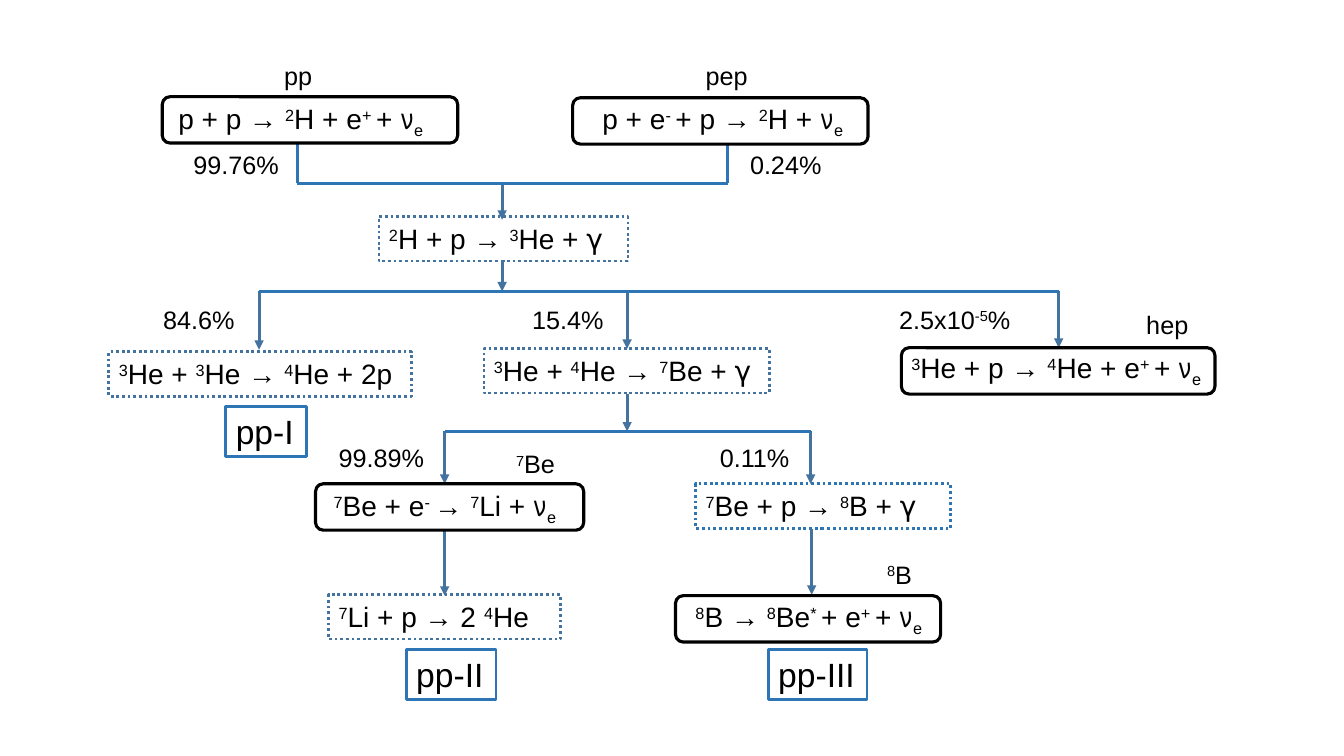
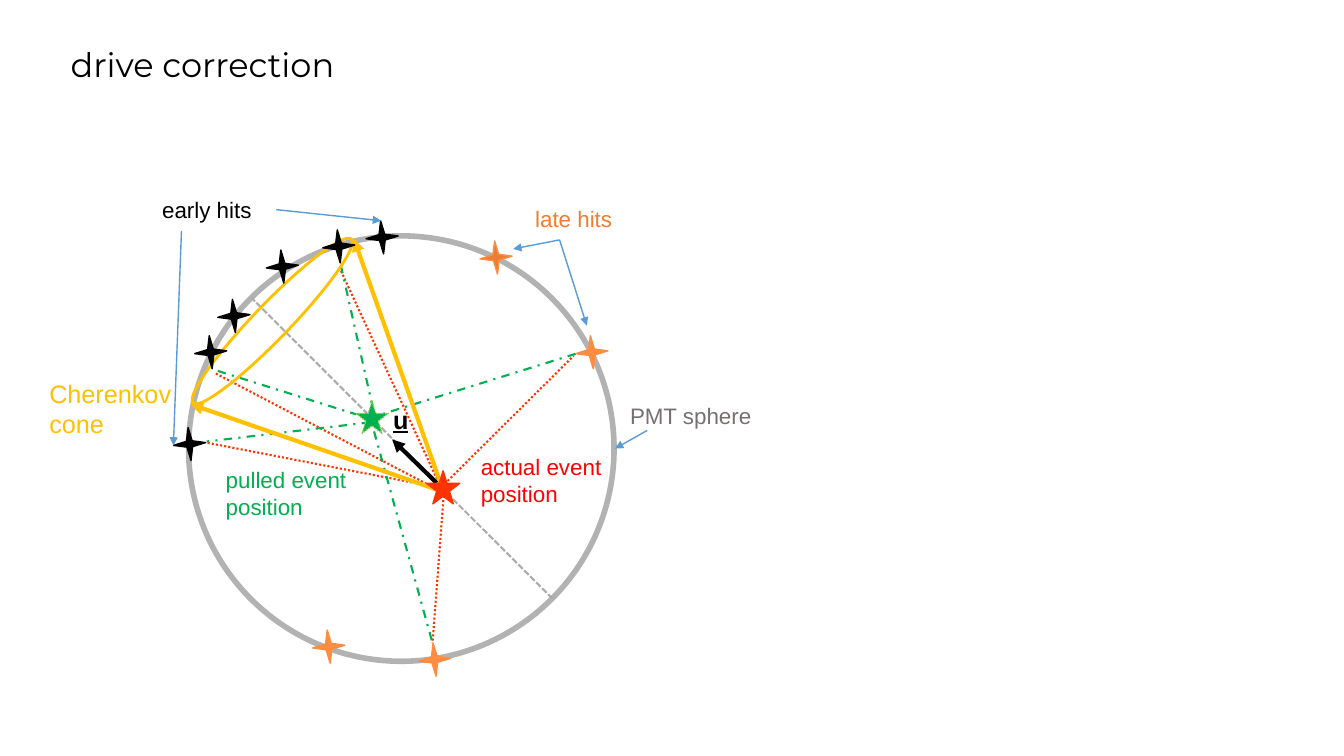
from lxml import etree
from pptx import Presentation
from pptx import util as u
from pptx.dml.color import RGBColor
from pptx.enum import dml, shapes, text
from pptx.oxml.ns import qn

PX = 9144  # 100 px to the inch
COLORS = {
    "black": "000000", "steel": "43739E", "blue": "2E75B6", "sky": "5B9BD5",
    "red": "FF3300", "pure red": "FF0000", "green": "00B050", "lime": "92D050",
    "gold": "FFC000", "orange": "ED7D31", "light orange": "FF8D41",
    "ring": "B2B2B2", "axis": "AFABAB", "gray": "767171",
}
RGB = {name: RGBColor.from_string(value) for name, value in COLORS.items()}
FONT = "Arial"
GREEK_FONTS = {"ν": "TeX Gyre Adventor", "γ": "DejaVu Sans"}
BASELINES = {"^": "30000", "_": "-25000"}
KIND = shapes.MSO_SHAPE
DASH = dml.MSO_LINE


def place(slide, box, words="", size=18, color="black", kind=None, line=None,
          width=2, dash=None, fill=None, wrap=False, align=text.PP_ALIGN.LEFT):
    """Add a shape, or a text box if kind is None.

    In words, "|" parts the runs; a run led by ^ or _ is raised or lowered.
    """
    area = [n * PX for n in box]
    if kind is None:
        item = slide.shapes.add_textbox(*area)
    else:
        item = slide.shapes.add_shape(kind, *area)
        item.shadow.inherit = False
        item.line.color.rgb = RGB[line]
        item.line.width = u.Pt(width)
        if dash:
            item.line.dash_style = dash
        if fill:
            item.fill.solid()
            item.fill.fore_color.rgb = RGB[fill]
        else:
            item.fill.background()
    if words:
        frame = item.text_frame
        frame.word_wrap = wrap
        frame.auto_size = text.MSO_AUTO_SIZE.SHAPE_TO_FIT_TEXT
        frame.vertical_anchor = text.MSO_ANCHOR.TOP
        for i, row in enumerate(words.split("\n")):
            paragraph = frame.add_paragraph() if i else frame.paragraphs[0]
            paragraph.alignment = align
            for part in row.split("|"):
                run = paragraph.add_run()
                run.text = part.lstrip("^_")
                run.font.size = u.Pt(size)
                run.font.name = GREEK_FONTS.get(part, FONT)
                run.font.color.rgb = RGB[color]
                if part[0] in BASELINES:
                    run.font._element.set("baseline", BASELINES[part[0]])
    return item


def connect(slide, ends, color, width, arrow=False, dash=None):
    link = slide.shapes.add_connector(
        shapes.MSO_CONNECTOR.STRAIGHT, *[n * PX for n in ends])
    link.line.color.rgb = RGB[color]
    link.line.width = u.Pt(width)
    if dash:
        link.line.dash_style = dash
    properties = link._element.spPr
    if arrow:
        etree.SubElement(properties.find(qn("a:ln")), qn("a:tailEnd"), type="triangle")
    etree.SubElement(properties, qn("a:effectLst"))


deck = Presentation()
deck.slide_width, deck.slide_height = 1333 * PX, 750 * PX

# Reaction chains
chain = deck.slides.add_slide(deck.slide_layouts[6])

for box, color, formula in [
    ((376, 215, 247, 44), "steel", "^2|H + p → |^3|He + |γ"),
    ((108, 349, 300, 44), "steel", "^3|He + |^3|He → |^4|He + 2p"),
    ((480, 346, 283, 44), "steel", "^3|He + |^4|He → |^7|Be + |γ"),
    ((690, 480, 253, 44), "blue", "^7|Be + p → |^8|B + |γ"),
    ((326, 590, 230, 44), "steel", "^7|Li + p → 2 |^4|He"),
]:
    place(chain, box, formula, 20, kind=KIND.RECTANGLE, line=color,
          dash=DASH.ROUND_DOT, wrap=True)

for ends in [
    (441, 526, 441, 591), (805, 525, 805, 590), (804, 428, 804, 480),
    (441, 428, 441, 480), (622, 391, 622, 428), (257, 289, 257, 347),
    (1050, 289, 1050, 345), (622, 289, 622, 346), (498, 258, 498, 289),
    (498, 182, 498, 218),
]:
    connect(chain, ends, "steel", 2.25, arrow=True)

for ends in [
    (441, 428, 804, 428), (257, 289, 1050, 289), (295, 182, 722, 182),
    (295, 143, 295, 182), (722, 143, 722, 182),
]:
    connect(chain, ends, "blue", 2.25)

for box, branch in [
    ((224, 403, 80, 50), "pp-I"),
    ((403, 644, 89, 50), "pp-II"),
    ((762, 644, 98, 50), "pp-III"),
]:
    place(chain, box, branch, 24, kind=KIND.RECTANGLE, line="blue")

LEFT, RIGHT = text.PP_ALIGN.LEFT, text.PP_ALIGN.RIGHT
for frame_box, formula_box, align, formula in [
    ((161, 96, 293, 46), (167, 96, 278, 44), LEFT,
     "p + p → |^2|H + e|^+ |+ |ν|_e"),
    ((568, 97, 293, 46), (577, 96, 269, 44), RIGHT,
     "p + e|^- |+ p → |^2|H + |ν|_e"),
    ((894, 345, 311, 46), (894, 343, 331, 44), LEFT,
     "^3|He + p → |^4|He + e|^+ |+ |ν|_e"),
    ((313, 480, 266, 46), (321, 480, 253, 44), LEFT,
     "^7|Be + e|^- |→ |^7|Li + |ν|_e"),
    ((670, 591, 263, 46), (680, 590, 253, 44), LEFT,
     "^8|B → |^8|Be|^* |+ e|^+ |+ |ν|_e"),
]:
    place(chain, frame_box, kind=KIND.ROUNDED_RECTANGLE, line="black", width=2.25)
    place(chain, formula_box, formula, 20, wrap=True, align=align)

for left, top, width, label in [
    (272, 55, 48, "pp"), (690, 55, 62, "pep"), (1127, 302, 62, "hep"),
    (502, 440, 60, "^7|Be"), (870, 550, 46, "^8|B"),
    (182, 143, 105, "99.76%"), (734, 143, 91, "0.24%"),
    (152, 297, 91, "84.6%"), (518, 297, 91, "15.4%"),
    (882, 297, 132, "2.5x10|^-5|%"),
    (326, 434, 105, "99.89%"), (704, 434, 89, "0.11%"),
]:
    place(chain, (left, top, width, 40), label)

# Drive correction
drive = deck.slides.add_slide(deck.slide_layouts[5])
title = drive.shapes.title
title.left, title.top, title.width, title.height = [n * PX for n in (60, -6, 1150, 145)]
title.text_frame.text = "drive correction"
title.text_frame.auto_size = text.MSO_AUTO_SIZE.NONE
title.text_frame.vertical_anchor = text.MSO_ANCHOR.MIDDLE
heading = title.text_frame.paragraphs[0]
heading.alignment = LEFT
heading.line_spacing = 0.9
heading.font.size = u.Pt(24)
heading.font.name = "Montserrat"
heading.font.color.rgb = RGB["black"]

actual_rays = [
    (441, 480, 569, 353), (437, 483, 336, 264), (423, 480, 213, 370),
    (440, 492, 429, 638), (421, 481, 204, 439),
]
pulled_rays = [
    (371, 428, 429, 638), (216, 368, 353, 411), (338, 263, 369, 401),
    (571, 351, 369, 414), (367, 419, 205, 438),
]
for rays, color, dash in [
    (actual_rays, "red", DASH.ROUND_DOT),
    (pulled_rays, "green", DASH.DASH_DOT),
]:
    for ends in rays:
        connect(drive, ends, color, 1.5, dash=dash)

place(drive, (187, 234, 422, 422), kind=KIND.OVAL, line="ring", width=4)
connect(drive, (548, 594, 249, 295), "axis", 1.5, dash=DASH.SQUARE_DOT)
for cone_edge in [(440, 488, 189, 401), (440, 488, 351, 237)]:
    connect(drive, cone_edge, "gold", 3, arrow=True)
cone_base = place(drive, (157, 301, 226, 35), kind=KIND.OVAL, line="gold")
cone_base.rotation = 134
connect(drive, (433, 479, 389, 436), "black", 3, arrow=True)

place(drive, (423, 467, 33, 33), kind=KIND.STAR_5_POINT, line="red", width=1, fill="red")
place(drive, (353, 398, 32, 32), kind=KIND.STAR_5_POINT, line="lime", width=1,
      dash=DASH.ROUND_DOT, fill="green")

early_hits = [(320, 228), (264, 248), (216, 297), (172, 424), (193, 333), (363, 219)]
late_hits = [(310, 625), (571, 333), (415, 638)]
for hits, fill, line in [
    (early_hits, "black", "black"),
    ([(476, 239)], "orange", "light orange"),
    (late_hits, "light orange", "light orange"),
]:
    for left, top in hits:
        hit = place(drive, (left, top, 32, 33), kind=KIND.STAR_4_POINT,
                    line=line, width=1, fill=fill)
        hit.rotation = 355

for pointer in [
    (642, 427, 610, 445), (555, 238, 509, 247), (555, 238, 582, 323),
    (180, 229, 172, 442), (274, 208, 378, 219),
]:
    connect(drive, pointer, "sky", 1, arrow=True)

for box, label, size, color, wrap in [
    ((615, 394, 149, 37), "PMT sphere", 16, "gray", False),
    ((521, 199, 110, 37), "late hits", 16, "orange", False),
    ((151, 190, 123, 37), "early hits", 16, "black", False),
    ((467, 445, 175, 64), "actual event position", 16, "pure red", True),
    ((214, 458, 175, 64), "pulled event position", 16, "green", True),
    ((39, 370, 141, 71), "Cherenkov\ncone", 18, "gold", False),
]:
    place(drive, box, label, size, color, wrap=wrap)

direction = place(drive, (380, 396, 23, 40), "u", wrap=True)
direction_font = direction.text_frame.paragraphs[0].runs[0].font
direction_font.bold = direction_font.underline = True

deck.save("out.pptx")
